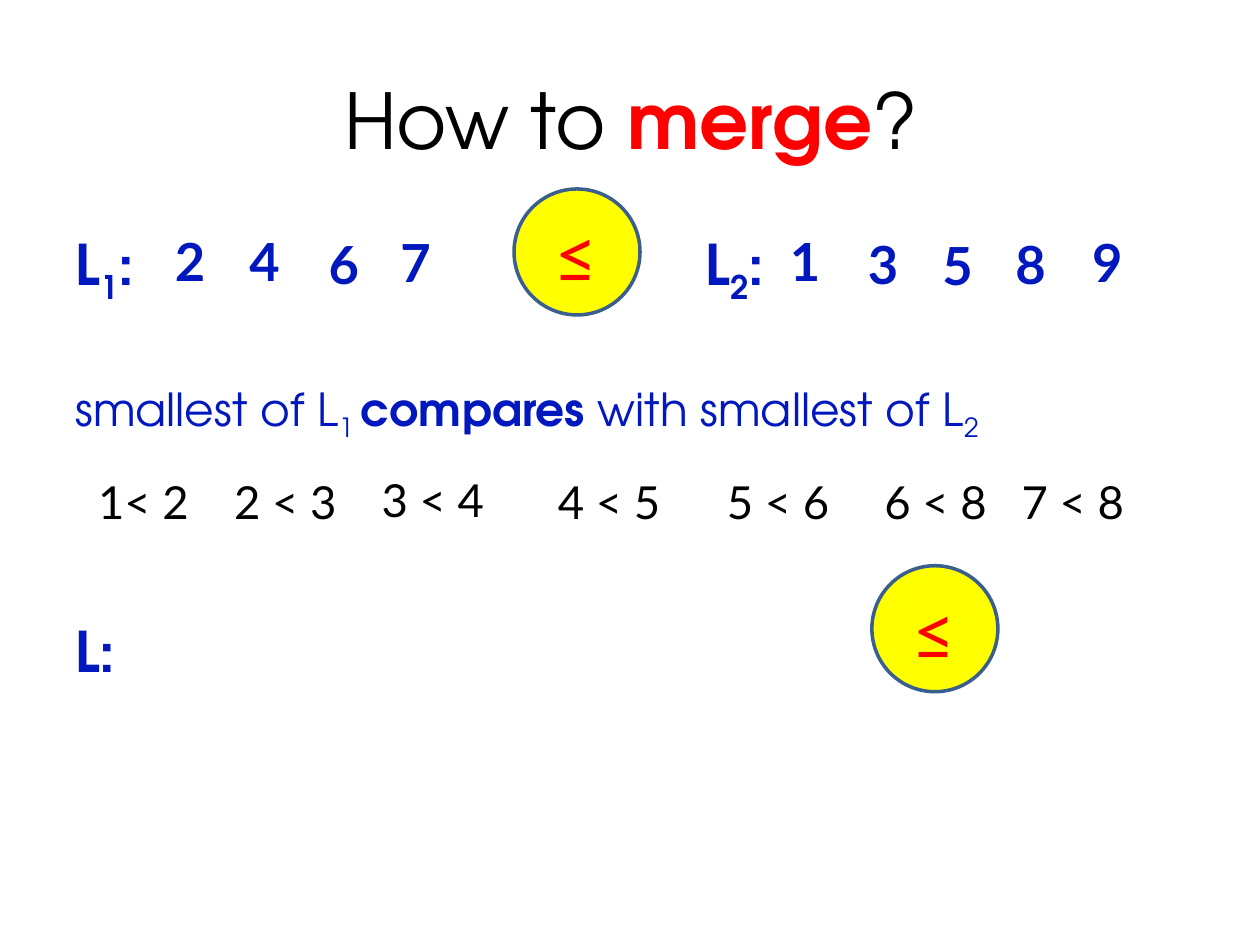
"""Build the slide that explains how to merge two sorted lists."""

import dataclasses
import typing

import pptx
import pptx.dml.color
import pptx.enum.shapes
import pptx.enum.text
import pptx.util

BLACK = pptx.dml.color.RGBColor(0x00, 0x00, 0x00)
BLUE = pptx.dml.color.RGBColor(0x01, 0x18, 0xBF)
RED = pptx.dml.color.RGBColor(0xFF, 0x00, 0x00)
YELLOW = pptx.dml.color.RGBColor(0xFF, 0xFF, 0x00)
OUTLINE = pptx.dml.color.RGBColor(0x3A, 0x5F, 0x8C)
HEADING_FONT = "TeX Gyre Adventor"
LABEL_FONT = "Lato"
COLUMNS, ROWS = 100, 75
CELL = pptx.util.Inches(0.1)


@dataclasses.dataclass(frozen=True)
class Label:
    """A short text with its place on the grid."""

    text: str
    column: float
    row: float


@dataclasses.dataclass(frozen=True)
class LabelStyle:
    """The shared size and format of a family of labels."""

    width: float
    height: float
    size: float
    color: pptx.dml.color.RGBColor
    bold: bool


NUMBER_STYLE = LabelStyle(4.2, 6.1, 30, BLUE, True)
COMPARISON_STYLE = LabelStyle(10.7, 5.4, 26, BLACK, False)

NUMBERS = (
    Label("2", 12.9, 17.7), Label("4", 18.8, 17.7),
    Label("6", 25.1, 17.9), Label("7", 30.8, 17.8),
    Label("1", 61.7, 17.7), Label("3", 67.9, 17.9), Label("5", 73.8, 18),
    Label("8", 79.6, 17.9), Label("9", 85.7, 17.8),
)
COMPARISONS = (
    Label("1< 2", 6.8, 37.1), Label("2 < 3", 17.6, 37.1),
    Label("3 < 4", 29.3, 37), Label("4 < 5", 43.3, 37.1),
    Label("5 < 6", 56.7, 37.1), Label("6 < 8", 69.2, 37.1),
    Label("7 < 8", 80.1, 37.1),
)
OPERATORS = (Label("≤", 40.8, 15), Label("≤", 69.2, 44.9))


def grid(*cells: float) -> list[int]:
    """Turn grid counts into slide lengths."""
    return [round(count * CELL) for count in cells]


def add_text(paragraph: typing.Any, text: str, *, size: float, font: str,
             color: pptx.dml.color.RGBColor, bold: bool = False,
             subscript: bool = False) -> None:
    """Append one formatted run to a paragraph."""
    run = paragraph.add_run()
    run.text = text
    run.font.size = pptx.util.Pt(size)
    run.font.name = font
    run.font.bold = bold
    run.font.color.rgb = color
    if subscript:
        run.font._element.set("baseline", "-25000")


def add_label(slide: typing.Any, label: Label, style: LabelStyle) -> None:
    """Place a label that grows with its text."""
    shape = slide.shapes.add_textbox(
        *grid(label.column, label.row, style.width, style.height))
    shape.text_frame.word_wrap = False
    shape.text_frame.auto_size = pptx.enum.text.MSO_AUTO_SIZE.SHAPE_TO_FIT_TEXT
    add_text(shape.text_frame.paragraphs[0], label.text, size=style.size,
             font=LABEL_FONT, color=style.color, bold=style.bold)


def add_operator(slide: typing.Any, label: Label) -> None:
    """Draw a comparison operator in a circle."""
    shape = slide.shapes.add_shape(pptx.enum.shapes.MSO_SHAPE.OVAL,
                                   *grid(label.column, label.row, 10, 10))
    shape.shadow.inherit = False
    shape.fill.solid()
    shape.fill.fore_color.rgb = YELLOW
    shape.line.color.rgb = OUTLINE
    shape.line.width = pptx.util.Pt(2)
    shape.text_frame.vertical_anchor = pptx.enum.text.MSO_ANCHOR.MIDDLE
    paragraph = shape.text_frame.paragraphs[0]
    paragraph.alignment = pptx.enum.text.PP_ALIGN.CENTER
    add_text(paragraph, label.text, size=45, font="Calibri", color=RED)


def format_title(title: typing.Any) -> None:
    """Position and fill the title placeholder."""
    title.left, title.top, title.width, title.height = grid(5.1, 3.2, 90, 12.5)
    title.text_frame.vertical_anchor = pptx.enum.text.MSO_ANCHOR.MIDDLE
    paragraph = title.text_frame.paragraphs[0]
    paragraph.alignment = pptx.enum.text.PP_ALIGN.CENTER
    for text, color, bold in (("How to ", BLACK, False), ("merge", RED, True),
                              ("?", BLACK, False)):
        add_text(paragraph, text, size=44, font=HEADING_FONT, color=color, bold=bold)


def add_body(slide: typing.Any) -> None:
    """Write the list names and the comparison rule."""
    frame = slide.shapes.add_textbox(*grid(5, 17.7, 90, 49.5)).text_frame
    frame.word_wrap = True
    lists, rule, merged = (frame.paragraphs[0], frame.add_paragraph(),
                           frame.add_paragraph())
    rule.space_before = pptx.util.Pt(43)
    merged.space_before = pptx.util.Pt(99)
    properties = lists._p.get_or_add_pPr()
    tabs = properties.makeelement(pptx.oxml.ns.qn("a:tabLst"), {})
    tabs.append(tabs.makeelement(pptx.oxml.ns.qn("a:tab"),
                                 {"pos": str(grid(50)[0]), "algn": "l"}))
    properties.append(tabs)
    for paragraph, size, runs in (
        (lists, 32, (("L", True, False), ("1", True, True), (":\tL", True, False),
                     ("2", True, True), (":", True, False))),
        (rule, 26, (("smallest of L", False, False), ("1 ", False, True),
                    ("compares", True, False),
                    (" with smallest of L", False, False), ("2", False, True))),
        (merged, 32, (("L:", True, False),)),
    ):
        for text, bold, subscript in runs:
            add_text(paragraph, text, size=size, font=HEADING_FONT, color=BLUE,
                     bold=bold, subscript=subscript)


def main() -> None:
    """Assemble and save the presentation."""
    presentation = pptx.Presentation()
    presentation.slide_width, presentation.slide_height = grid(COLUMNS, ROWS)
    slide = presentation.slides.add_slide(presentation.slide_layouts[5])
    format_title(slide.shapes.title)
    add_body(slide)
    for labels, style in ((COMPARISONS, COMPARISON_STYLE), (NUMBERS, NUMBER_STYLE)):
        for label in labels:
            add_label(slide, label, style)
    for operator in OPERATORS:
        add_operator(slide, operator)
    presentation.save("out.pptx")


if __name__ == "__main__":
    main()
